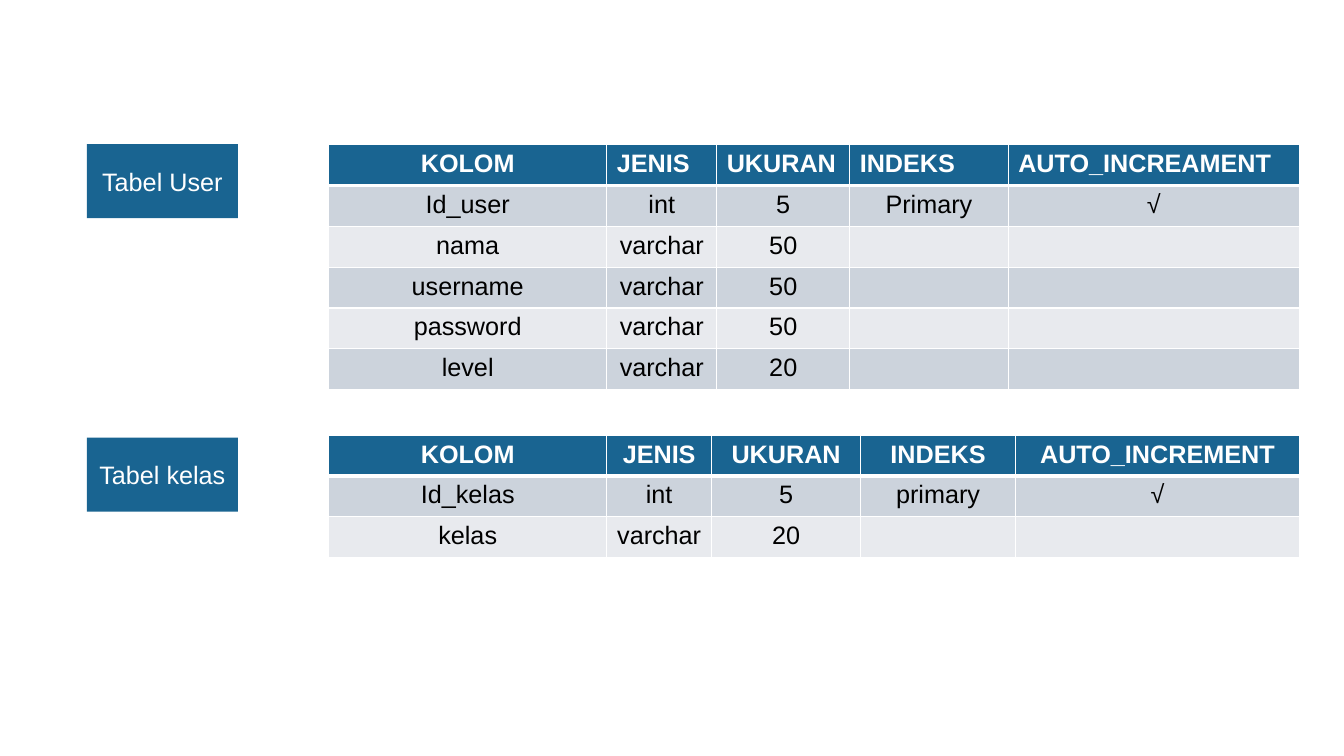
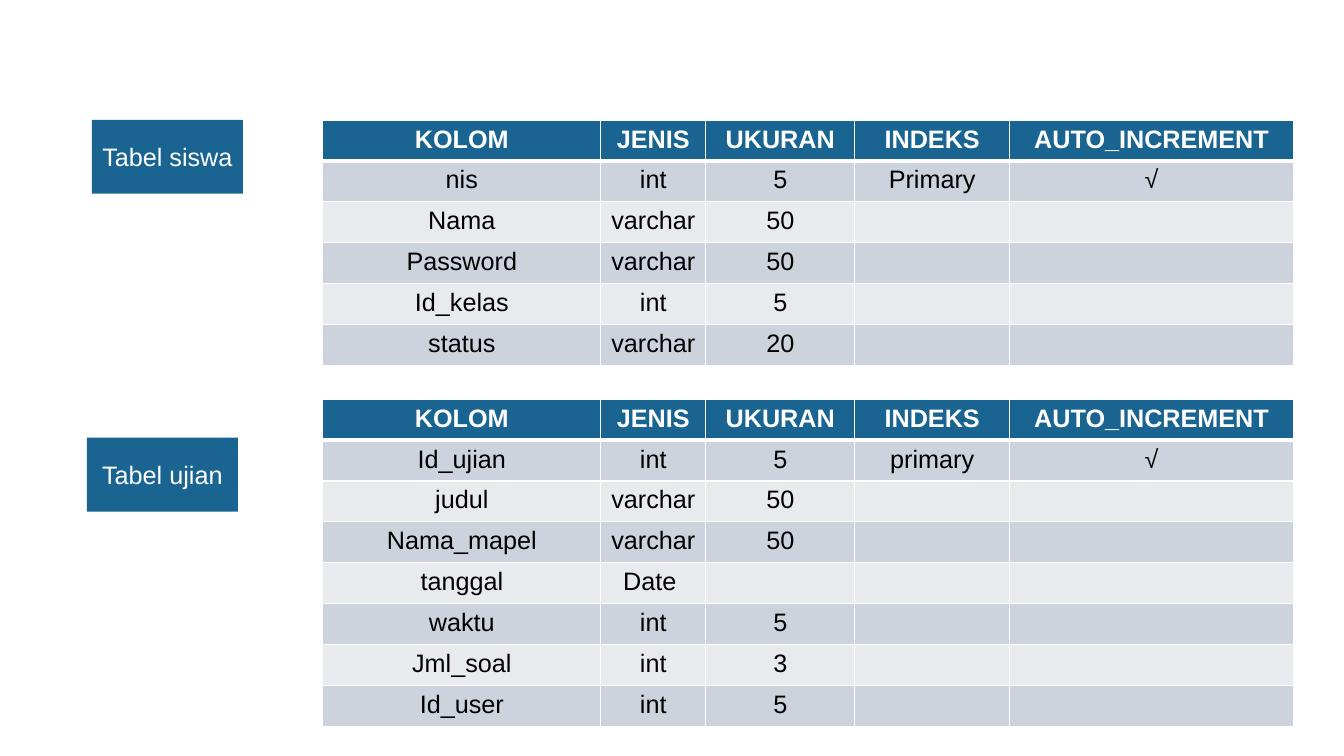
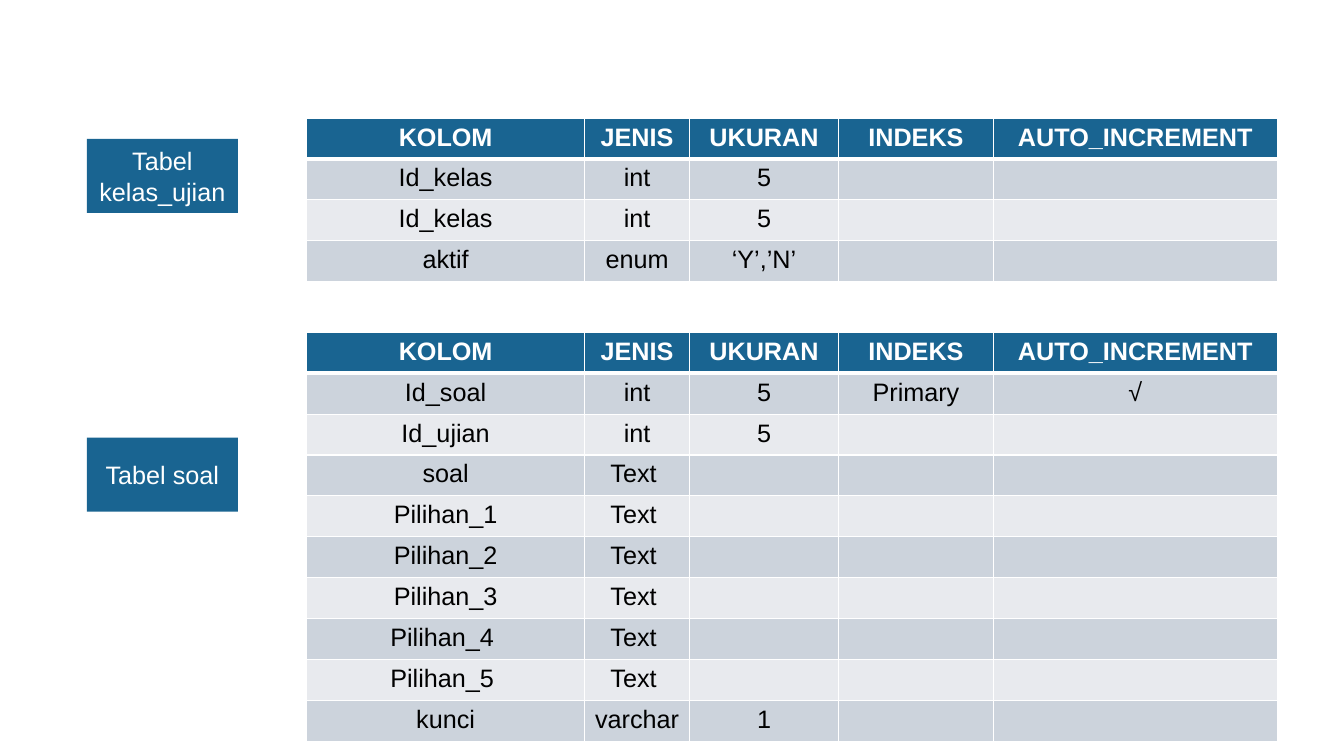
from dataclasses import dataclass
from itertools import zip_longest

from lxml import etree
from pptx import Presentation
from pptx.dml.color import RGBColor
from pptx.enum import shapes, text
from pptx.oxml import ns
from pptx.util import Pt

# Shared look
COLORS = {
    "blue": "196491",
    "band_dark": "CCD3DC",
    "band_light": "E8EAEE",
    "white": "FFFFFF",
    "black": "000000",
}
LIGHT_TEXT = {"name": "Arial", "size": Pt(18), "bold": False, "color": "white"}
HEADER_TEXT = LIGHT_TEXT | {"bold": True}
BODY_TEXT = LIGHT_TEXT | {"color": "black"}

LABEL_LEFT, LABEL_WIDTH, LABEL_HEIGHT = 62, 108, 52.8
LOWER_LABEL_TOP = 312.6
ROW_HEIGHT = 29.2
COLUMN_WIDTHS = (198.6, 74.9, 106.5, 110.6, 202.8)
USER_WIDTHS = (198.6, 78.6, 95, 113.2, 208)
HEADER = ("KOLOM", "JENIS", "UKURAN", "INDEKS", "AUTO_INCREMENT")
USER_HEADER = HEADER[:-1] + ("AUTO_INCREAMENT",)
CENTER, LEFT = text.PP_ALIGN.CENTER, text.PP_ALIGN.LEFT


@dataclass(frozen=True)
class Label:
    caption: str
    top: float = LOWER_LABEL_TOP
    left: float = LABEL_LEFT


@dataclass(frozen=True)
class DataTable:
    left: float
    top: float
    rows: tuple[tuple[str, ...], ...]
    header: tuple[str, ...] = HEADER
    widths: tuple[float, ...] = COLUMN_WIDTHS
    header_align: text.PP_ALIGN = CENTER


# Contents: one list of labelled tables per slide
SLIDES = (
    (
        (Label("Tabel User", 103), DataTable(234.8, 103.2, (
            ("Id_user", "int", "5", "Primary", "√"),
            ("nama", "varchar", "50"),
            ("username", "varchar", "50"),
            ("password", "varchar", "50"),
            ("level", "varchar", "20"),
        ), USER_HEADER, USER_WIDTHS, LEFT)),
        (Label("Tabel kelas"), DataTable(234.8, 310.8, (
            ("Id_kelas", "int", "5", "primary", "√"),
            ("kelas", "varchar", "20"),
        ))),
    ),
    (
        (Label("Tabel siswa", 85.6, 65.6), DataTable(230.6, 85.8, (
            ("nis", "int", "5", "Primary", "√"),
            ("Nama", "varchar", "50"),
            ("Password", "varchar", "50"),
            ("Id_kelas", "int", "5"),
            ("status", "varchar", "20"),
        ))),
        (Label("Tabel ujian"), DataTable(230.6, 285.2, (
            ("Id_ujian", "int", "5", "primary", "√"),
            ("judul", "varchar", "50"),
            ("Nama_mapel", "varchar", "50"),
            ("tanggal", "Date "),
            ("waktu", "int", "5"),
            ("Jml_soal", "int", "3"),
            ("Id_user", "int", "5"),
        ))),
    ),
    (
        (Label("Tabel kelas_ujian", 99.2), DataTable(219, 84.4, (
            ("Id_kelas", "int", "5"),
            ("Id_kelas", "int", "5"),
            ("aktif", "enum", "‘Y’,’N’"),
        ))),
        (Label("Tabel soal"), DataTable(219, 237.4, (
            ("Id_soal", "int", "5", "Primary", "√"),
            ("Id_ujian", "int", "5"),
            ("soal", "Text "),
            ("Pilihan_1", "Text "),
            ("Pilihan_2", "Text "),
            ("Pilihan_3", "Text "),
            ("Pilihan_4 ", "Text "),
            ("Pilihan_5 ", "Text "),
            ("kunci", "varchar", "1"),
        ))),
    ),
)


def rgb(name: str) -> RGBColor:
    return RGBColor.from_string(COLORS[name])


def write(frame, content: str, values: dict, align: text.PP_ALIGN = CENTER) -> None:
    """Put one formatted paragraph in a text frame."""
    paragraph = frame.paragraphs[0]
    paragraph.alignment = align
    font = paragraph.font
    if content:
        run = paragraph.add_run()
        run.text = content
        font = run.font
    for name, value in values.items():
        if name == "color":
            font.color.rgb = rgb(value)
        else:
            setattr(font, name, value)


def set_borders(cell, top: float, bottom: float) -> None:
    """Draw white cell borders; side borders are one point wide."""
    properties = cell._tc.get_or_add_tcPr()
    for tag, width in {"lnL": 1, "lnR": 1, "lnT": top, "lnB": bottom}.items():
        line = etree.SubElement(properties, ns.qn(f"a:{tag}"), w=str(Pt(width)))
        fill = etree.SubElement(line, ns.qn("a:solidFill"))
        etree.SubElement(fill, ns.qn("a:srgbClr"), val=COLORS["white"])


def add_label(slide, label: Label) -> None:
    shape = slide.shapes.add_shape(
        shapes.MSO_SHAPE.RECTANGLE,
        Pt(label.left), Pt(label.top), Pt(LABEL_WIDTH), Pt(LABEL_HEIGHT),
    )
    shape.shadow.inherit = False
    shape.fill.solid()
    shape.fill.fore_color.rgb = rgb("blue")
    shape.line.fill.background()
    shape.text_frame.word_wrap = True
    shape.text_frame.vertical_anchor = text.MSO_ANCHOR.MIDDLE
    write(shape.text_frame, label.caption, LIGHT_TEXT)


def add_data_table(slide, data: DataTable) -> None:
    rows = (data.header, *data.rows)
    table = slide.shapes.add_table(
        len(rows), len(data.widths), Pt(data.left), Pt(data.top),
        Pt(sum(data.widths)), Pt(ROW_HEIGHT * len(rows)),
    ).table
    table.horz_banding = False
    for column, width in zip(table.columns, data.widths):
        column.width = Pt(width)

    for row_index, values in enumerate(rows):
        table.rows[row_index].height = Pt(ROW_HEIGHT)
        is_header = row_index == 0
        band = "band_dark" if row_index % 2 else "band_light"
        cells = zip_longest(table.rows[row_index].cells, values, fillvalue="")
        for column_index, (cell, content) in enumerate(cells):
            set_borders(cell, 3 if row_index == 1 else 1, 3 if is_header else 1)
            cell.fill.solid()
            cell.fill.fore_color.rgb = rgb("blue" if is_header else band)
            align = data.header_align if is_header and column_index else CENTER
            write(cell.text_frame, content, HEADER_TEXT if is_header else BODY_TEXT, align)


def main() -> None:
    presentation = Presentation()
    presentation.slide_width, presentation.slide_height = Pt(960), Pt(540)
    blank = presentation.slide_layouts[6]
    for sections in SLIDES:
        slide = presentation.slides.add_slide(blank)
        for label, data in sections:
            add_data_table(slide, data)
            add_label(slide, label)
    presentation.save("out.pptx")


if __name__ == "__main__":
    main()
